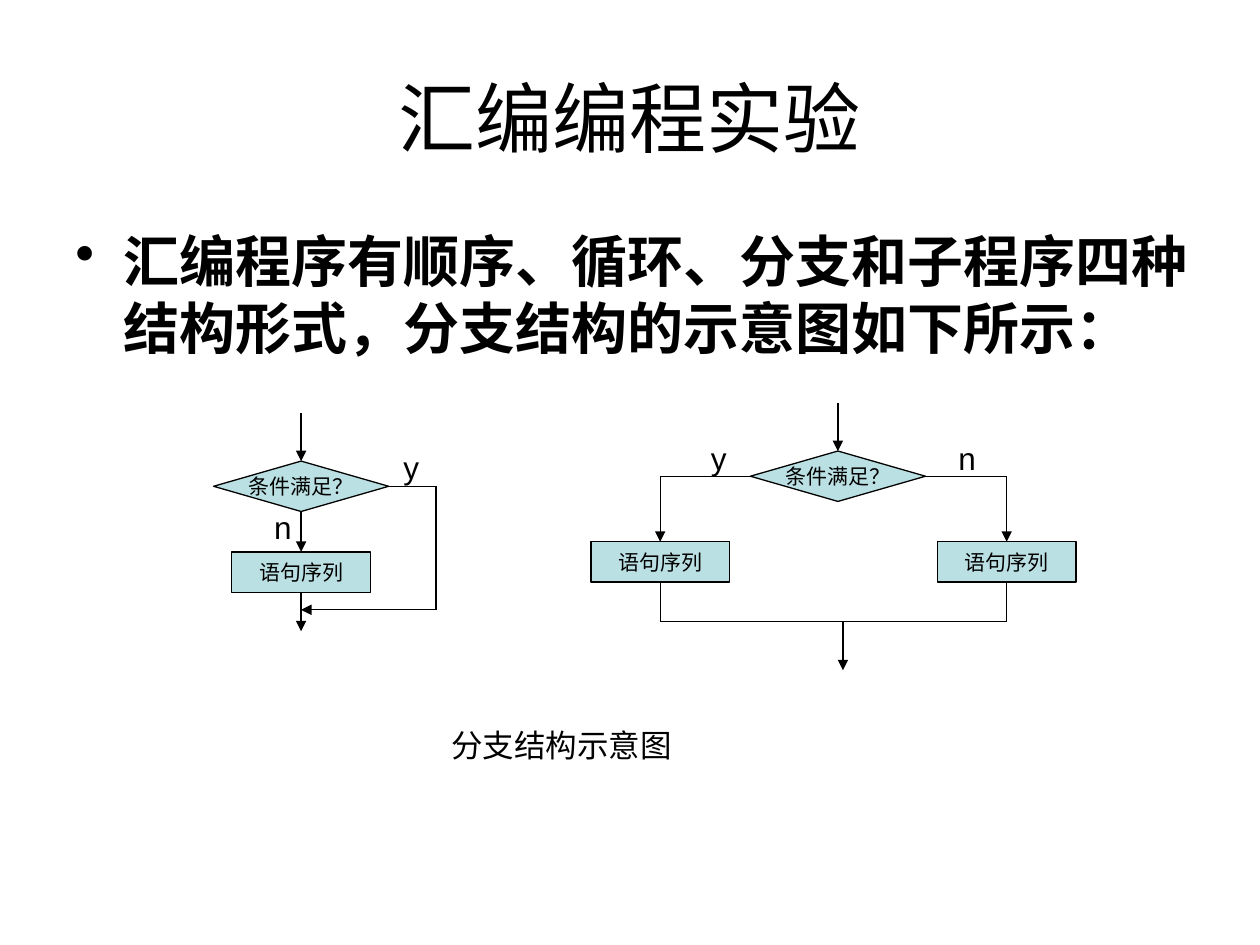
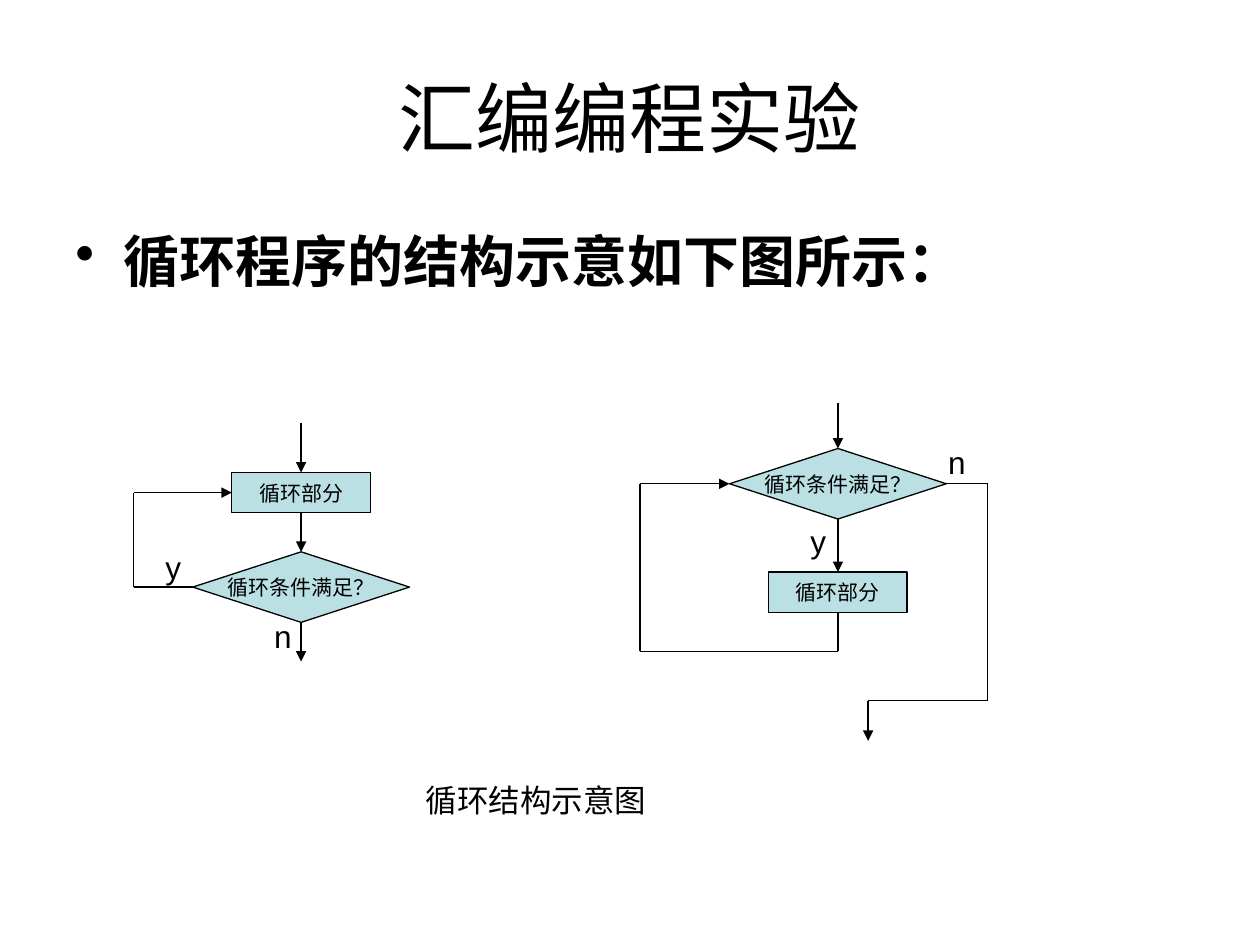
import pptx
import pptx.dml.color
import pptx.enum.shapes
import pptx.enum.text
import pptx.oxml.ns
import pptx.util
from dataclasses import dataclass
from itertools import pairwise
from lxml import etree

Inches = pptx.util.Inches
SHAPES = pptx.enum.shapes.MSO_SHAPE
ALIGN = pptx.enum.text.PP_ALIGN
ANCHOR = pptx.enum.text.MSO_ANCHOR
TOP, LEFT, BOTTOM, RIGHT = range(4)

# Content: steps are (kind, text, centre x, top); a route runs through points
# or (step, side) ends, and its flag says whether it closes with an arrowhead.
TITLE = "汇编编程实验"
SLIDES = [
    {
        "statement": "汇编程序有顺序、循环、分支和子程序四种结构形式，分支结构的示意图如下所示：",
        "statement_width": 9.15,
        "caption": ("分支结构示意图", (3.35, 5.64, 2.21, 0.55)),
        "steps": {
            "if": ("branch", "条件满足？", 2.39, 3.66),
            "then": ("process", "语句序列", 2.39, 4.38),
            "if else": ("branch", "条件满足？", 6.65, 3.58),
            "yes": ("process", "语句序列", 5.24, 4.3),
            "no": ("process", "语句序列", 7.99, 4.3),
        },
        "routes": [
            ([(2.39, 3.28), ("if", TOP)], True),
            ([("if", BOTTOM), ("then", TOP)], True),
            ([("then", BOTTOM), (2.39, 5.01)], True),
            ([("if", RIGHT), (3.46, 3.86), (3.46, 4.84), (2.39, 4.84)], True),
            ([(6.65, 3.2), ("if else", TOP)], True),
            ([("if else", LEFT), (5.24, 3.78), ("yes", TOP)], True),
            ([("if else", RIGHT), (7.99, 3.78), ("no", TOP)], True),
            ([("yes", BOTTOM), (5.24, 4.93), (7.99, 4.93), ("no", BOTTOM)], False),
            ([(6.69, 4.93), (6.69, 5.32)], True),
        ],
        "answers": [("y", 3.03, 3.51), ("n", 2.01, 3.99),
                    ("y", 5.47, 3.44), ("n", 7.44, 3.44)],
    },
    {
        "statement": "循环程序的结构示意如下图所示：",
        "statement_width": 9,
        "caption": ("循环结构示意图", (2.8, 6.11, 2.91, 0.47)),
        "steps": {
            "do": ("process", "循环部分", 2.39, 3.75),
            "until": ("loop", "循环条件满足？", 2.39, 4.38),
            "while": ("loop", "循环条件满足？", 6.65, 3.56),
            "body": ("process", "循环部分", 6.65, 4.54),
        },
        "routes": [
            ([(2.39, 3.36), ("do", TOP)], True),
            ([("do", BOTTOM), ("until", TOP)], True),
            ([("until", BOTTOM), (2.39, 5.25)], True),
            ([("until", LEFT), (1.06, 4.66), (1.06, 3.91), ("do", LEFT)], True),
            ([(6.65, 3.2), ("while", TOP)], True),
            ([("while", BOTTOM), ("body", TOP)], True),
            ([("body", BOTTOM), (6.65, 5.17), (5.08, 5.17), (5.08, 3.84),
              ("while", LEFT)], True),
            ([("while", RIGHT), (7.84, 3.84), (7.84, 5.56), (6.89, 5.56),
              (6.89, 5.88)], True),
        ],
        "answers": [("y", 1.14, 4.3), ("n", 2.01, 4.85),
                    ("y", 6.26, 4.1), ("n", 7.36, 3.47)],
    },
]

# Preset shape, width and height of each kind of step
STEP_KINDS = {
    "branch": (SHAPES.DIAMOND, 1.39, 0.4),
    "loop": (SHAPES.DIAMOND, 1.72, 0.56),
    "process": (SHAPES.RECTANGLE, 1.1, 0.32),
}


@dataclass(frozen=True)
class Theme:
    font: str = "Arial"
    ink: str = "000000"
    step_fill: str = "BBE0E3"
    title_size: int = 44
    statement_size: int = 32
    label_size: int = 18
    step_size: int = 12
    line_width: float = 0.75


THEME = Theme()


def rgb(value):
    return pptx.dml.color.RGBColor.from_string(value)


def write(shape, text, size, align=ALIGN.CENTER, anchor=ANCHOR.MIDDLE,
          wrap=False, bold=False, bullet=False):
    frame = shape.text_frame
    frame.word_wrap = wrap
    frame.vertical_anchor = anchor
    paragraph = frame.paragraphs[0]
    paragraph.text = text
    paragraph.alignment = align
    if bullet:
        properties = paragraph._p.get_or_add_pPr()
        properties.set("marL", str(Inches(0.38)))
        properties.set("indent", str(Inches(-0.38)))
        etree.SubElement(properties, pptx.oxml.ns.qn("a:buChar")).set("char", "•")
    paragraph.font.name = THEME.font
    paragraph.font.size = pptx.util.Pt(size)
    paragraph.font.bold = bold
    paragraph.font.color.rgb = rgb(THEME.ink)


def add_text(slide, text, box, size, **style):
    write(slide.shapes.add_textbox(*map(Inches, box)), text, size, **style)


def outline(line):
    line.color.rgb = rgb(THEME.ink)
    line.width = pptx.util.Pt(THEME.line_width)


def add_step(slide, kind, text, centre, top):
    preset, width, height = STEP_KINDS[kind]
    step = slide.shapes.add_shape(
        preset, *map(Inches, (centre - width / 2, top, width, height)))
    step.shadow.inherit = False
    step.fill.solid()
    step.fill.fore_color.rgb = rgb(THEME.step_fill)
    outline(step.line)
    write(step, text, THEME.step_size)
    return step


def add_segment(slide, steps, start, end, arrow):
    # Free ends are placed here; ends on a step are moved there when joined
    places = [(0, 0) if point[0] in steps else map(Inches, point)
              for point in (start, end)]
    segment = slide.shapes.add_connector(
        pptx.enum.shapes.MSO_CONNECTOR.STRAIGHT, *places[0], *places[1])
    for point, join in ((start, segment.begin_connect), (end, segment.end_connect)):
        if point[0] in steps:
            join(steps[point[0]], point[1])
    outline(segment.line)
    if arrow:
        etree.SubElement(segment.line._get_or_add_ln(),
                         pptx.oxml.ns.qn("a:tailEnd")).set("type", "triangle")
    etree.SubElement(segment._element.spPr, pptx.oxml.ns.qn("a:effectLst"))


def build_slide(deck, content):
    slide = deck.slides.add_slide(deck.slide_layouts[6])

    # Title and statement
    add_text(slide, TITLE, (0.5, 0.3, 9, 1.25), THEME.title_size, wrap=True)
    add_text(slide, content["statement"],
             (0.5, 1.75, content["statement_width"], 4.95), THEME.statement_size,
             align=ALIGN.LEFT, anchor=ANCHOR.TOP, wrap=True, bold=True, bullet=True)

    # Flowcharts
    steps = {key: add_step(slide, *step) for key, step in content["steps"].items()}
    for points, arrow in content["routes"]:
        segments = list(pairwise(points))
        for number, (start, end) in enumerate(segments, 1):
            add_segment(slide, steps, start, end, arrow and number == len(segments))

    # Answers beside the branches, and the caption
    for answer, left, top in content["answers"]:
        add_text(slide, answer, (left, top, 0.47, 0.39), THEME.label_size)
    caption, box = content["caption"]
    add_text(slide, caption, box, THEME.label_size)


def main():
    deck = pptx.Presentation()
    deck.slide_width, deck.slide_height = Inches(10), Inches(7.5)
    for content in SLIDES:
        build_slide(deck, content)
    deck.save("out.pptx")


if __name__ == "__main__":
    main()
